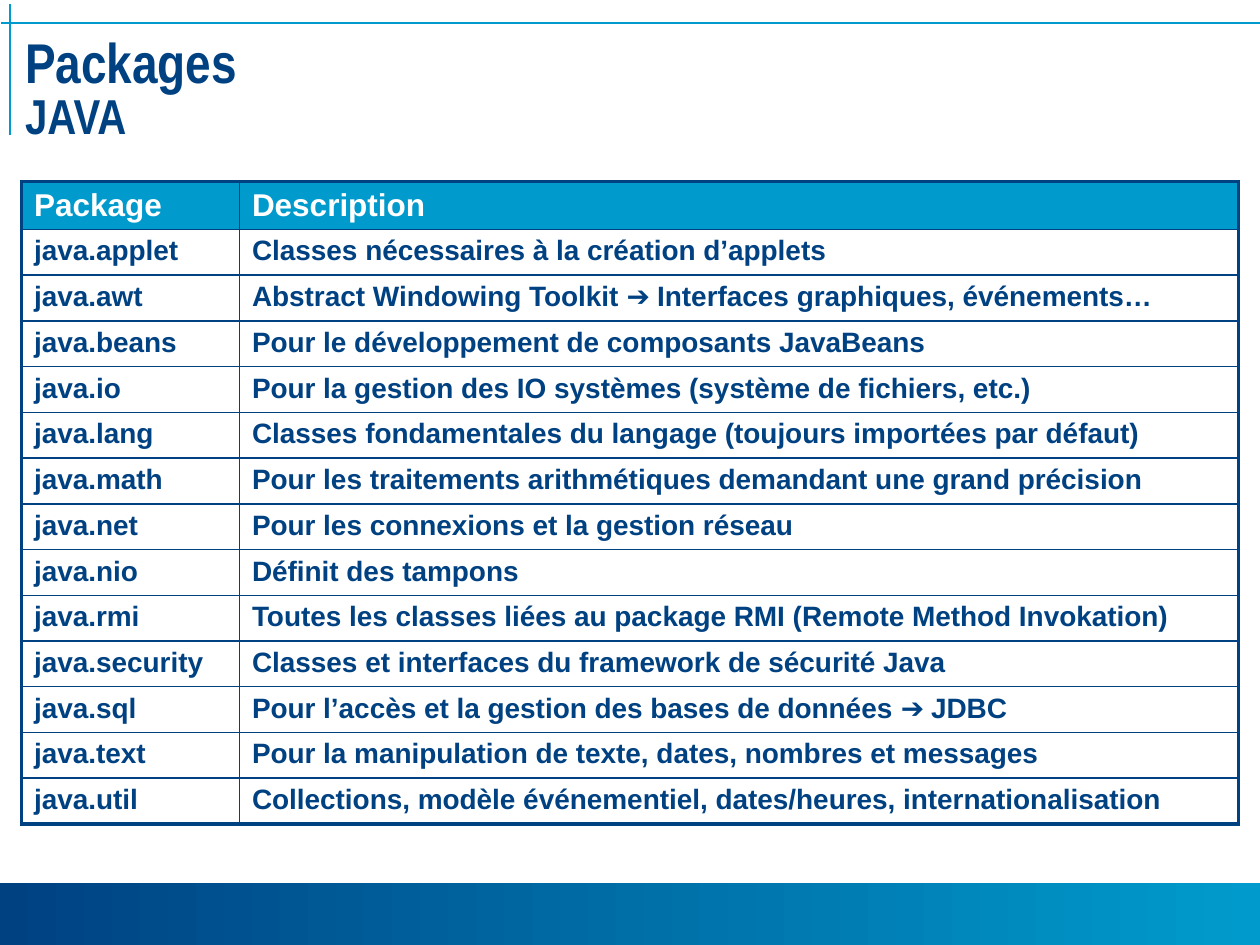
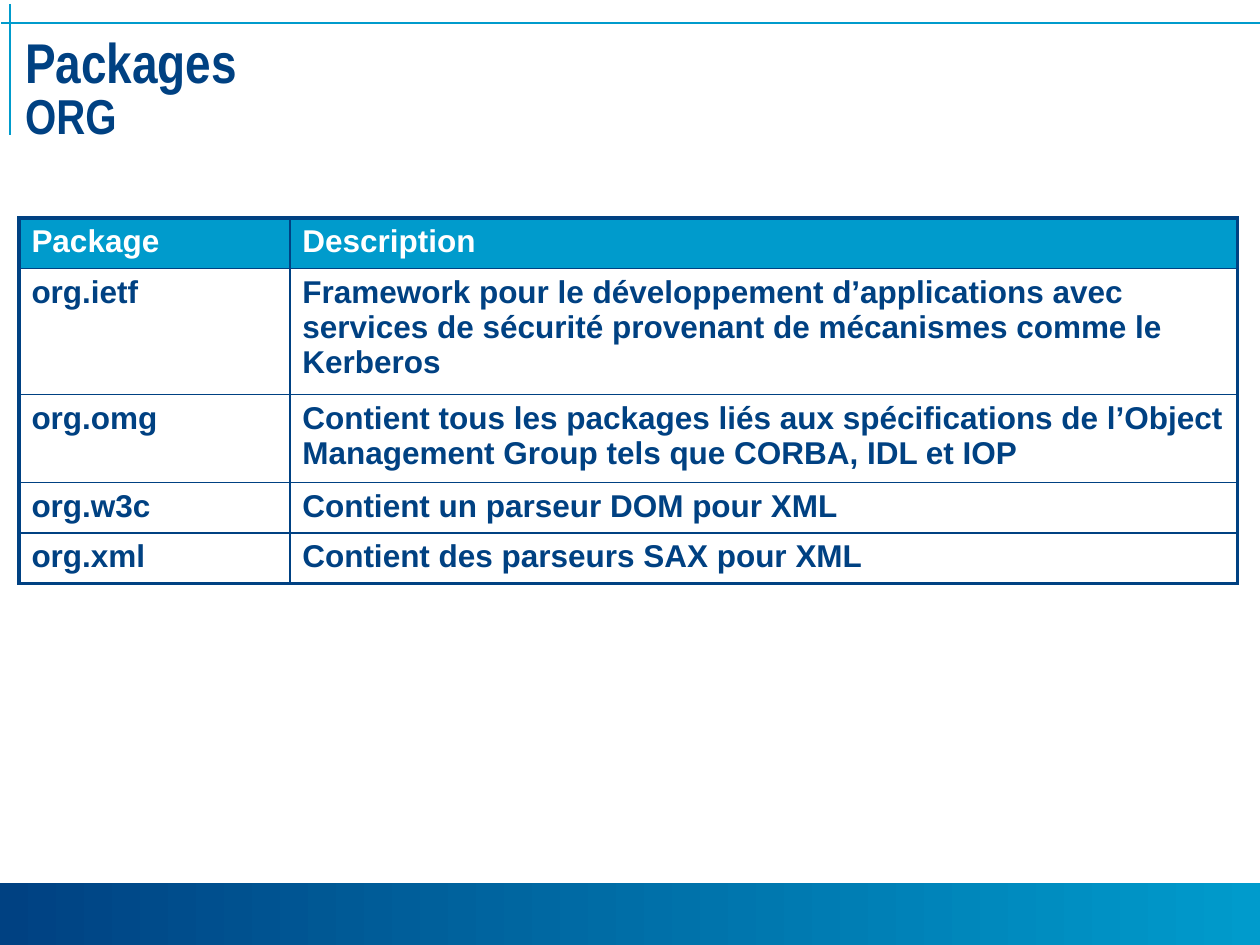
from typing import NamedTuple

from lxml.etree import SubElement
from pptx import Presentation
from pptx.dml.color import RGBColor
from pptx.enum.shapes import MSO_CONNECTOR, MSO_SHAPE
from pptx.enum.text import MSO_ANCHOR, MSO_AUTO_SIZE, PP_ALIGN
from pptx.oxml.ns import qn
from pptx.util import Inches, Pt

COLORS = {"navy": "004182", "cyan": "009BCC", "white": "FFFFFF"}
THICK, THIN = 2.25, 1
HEADER = ("Package", "Description")


class Rule(NamedTuple):
    x1: float
    y1: float
    x2: float
    y2: float


class Page(NamedTuple):
    topic: str
    left: float
    top: float
    cols: tuple
    heights: list
    size: int
    rows: list


RULES = (Rule(0.01, 0.18, 10, 0.18), Rule(0.08, 0.03, 0.08, 1.07))

JAVA = [
    ("java.applet", "Classes nécessaires à la création d’applets"),
    ("java.awt", "Abstract Windowing Toolkit ➔ Interfaces graphiques, événements…"),
    ("java.beans", "Pour le développement de composants JavaBeans"),
    ("java.io", "Pour la gestion des IO systèmes (système de fichiers, etc.)"),
    ("java.lang", "Classes fondamentales du langage (toujours importées par défaut)"),
    ("java.math", "Pour les traitements arithmétiques demandant une grand précision"),
    ("java.net", "Pour les connexions et la gestion réseau"),
    ("java.nio", "Définit des tampons"),
    ("java.rmi", "Toutes les classes liées au package RMI (Remote Method Invokation)"),
    ("java.security", "Classes et interfaces du framework de sécurité Java"),
    ("java.sql", "Pour l’accès et la gestion des bases de données ➔ JDBC"),
    ("java.text", "Pour la manipulation de texte, dates, nombres et messages"),
    ("java.util", "Collections, modèle événementiel, dates/heures, internationalisation"),
]
ORG = [
    ("org.ietf", "Framework pour le développement d’applications avec services "
     "de sécurité provenant de mécanismes comme le Kerberos"),
    ("org.omg", "Contient tous les packages liés aux spécifications de l’Object "
     "Management Group tels que CORBA, IDL et IOP"),
    ("org.w3c", "Contient un parseur DOM pour XML"),
    ("org.xml", "Contient des parseurs SAX pour XML"),
]
PAGES = (
    Page("JAVA", 0.17, 1.44, (1.73, 7.93),
         [0.38] + [4.72 / len(JAVA)] * len(JAVA), 16, JAVA),
    Page("ORG", 0.15, 1.73, (2.15, 7.52), [0.4, 1, 0.7, 0.4, 0.4], 18, ORG),
)


def rgb(name: str) -> RGBColor:
    return RGBColor.from_string(COLORS[name])


def write(para, text: str, *, size: int, color: str = "navy", font: str = "Arial") -> None:
    run = para.add_run()
    run.text = text
    run.font.name = font
    run.font.size = Pt(size)
    run.font.bold = True
    run.font.color.rgb = rgb(color)


def draw_frame(slide) -> None:
    band = slide.shapes.add_shape(
        MSO_SHAPE.RECTANGLE, Inches(0), Inches(7.01), Inches(10), Inches(0.52))
    band.shadow.inherit = False
    band.line.fill.background()
    band.fill.gradient()
    band.fill.gradient_angle = 0
    for stop, color in zip(band.fill.gradient_stops, ("navy", "cyan")):
        stop.color.rgb = rgb(color)
    for rule in RULES:
        line = slide.shapes.add_connector(
            MSO_CONNECTOR.STRAIGHT, *(Inches(v) for v in rule))
        line.line.color.rgb = rgb("cyan")
        line.line.width = Pt(1)
        SubElement(line._element.spPr, qn("a:effectLst"))


def draw_title(slide, topic: str) -> None:
    title = slide.shapes.title
    title.left, title.top = Inches(0.1), Inches(0.22)
    title.width, title.height = Inches(9.83), Inches(1.01)
    frame = title.text_frame
    frame.auto_size = MSO_AUTO_SIZE.NONE
    frame.vertical_anchor = MSO_ANCHOR.MIDDLE
    frame.margin_left = frame.margin_right = Inches(0.1)
    frame.margin_top = frame.margin_bottom = Inches(0.04)
    para = frame.paragraphs[0]
    para.alignment = PP_ALIGN.LEFT
    para.line_spacing = 0.85
    write(para, "Packages", size=32, font="Arial Narrow")
    para.add_line_break()
    SubElement(para._p[-1], qn("a:rPr"), sz="3200")
    write(para, topic, size=28, font="Arial Narrow")


def set_edges(cell, widths: dict) -> None:
    props = cell._tc.get_or_add_tcPr()
    for spot, (side, width) in enumerate(widths.items()):
        edge = SubElement(props, qn(f"a:ln{side}"), w=str(Pt(width)))
        fill = SubElement(edge, qn("a:solidFill"))
        SubElement(fill, qn("a:srgbClr"), val=COLORS["navy"])
        props.insert(spot, edge)


def draw_table(slide, page: Page) -> None:
    rows = [HEADER] + page.rows
    last = len(rows) - 1
    table = slide.shapes.add_table(
        len(rows), len(HEADER), Inches(page.left), Inches(page.top),
        Inches(sum(page.cols)), Inches(sum(page.heights))).table
    table.horz_banding = False
    table.first_row = False
    for col, width in zip(table.columns, page.cols):
        col.width = Inches(width)
    for r, row in enumerate(rows):
        table.rows[r].height = Inches(page.heights[r])
        head = r == 0
        for c, text in enumerate(row):
            cell = table.cell(r, c)
            cell.fill.solid()
            cell.fill.fore_color.rgb = rgb("cyan" if head else "white")
            set_edges(cell, {
                "L": THICK if c == 0 else THIN,
                "R": THICK if c == len(row) - 1 else THIN,
                "T": THICK if head else THIN,
                "B": THICK if r == last else THIN,
            })
            write(cell.text_frame.paragraphs[0], text,
                  size=18 if head else page.size, color="white" if head else "navy")


def main() -> None:
    deck = Presentation()
    deck.slide_width, deck.slide_height = Inches(10), Inches(7.5)
    for page in PAGES:
        slide = deck.slides.add_slide(deck.slide_layouts[5])
        draw_frame(slide)
        draw_title(slide, page.topic)
        draw_table(slide, page)
    deck.save("out.pptx")


if __name__ == "__main__":
    main()
